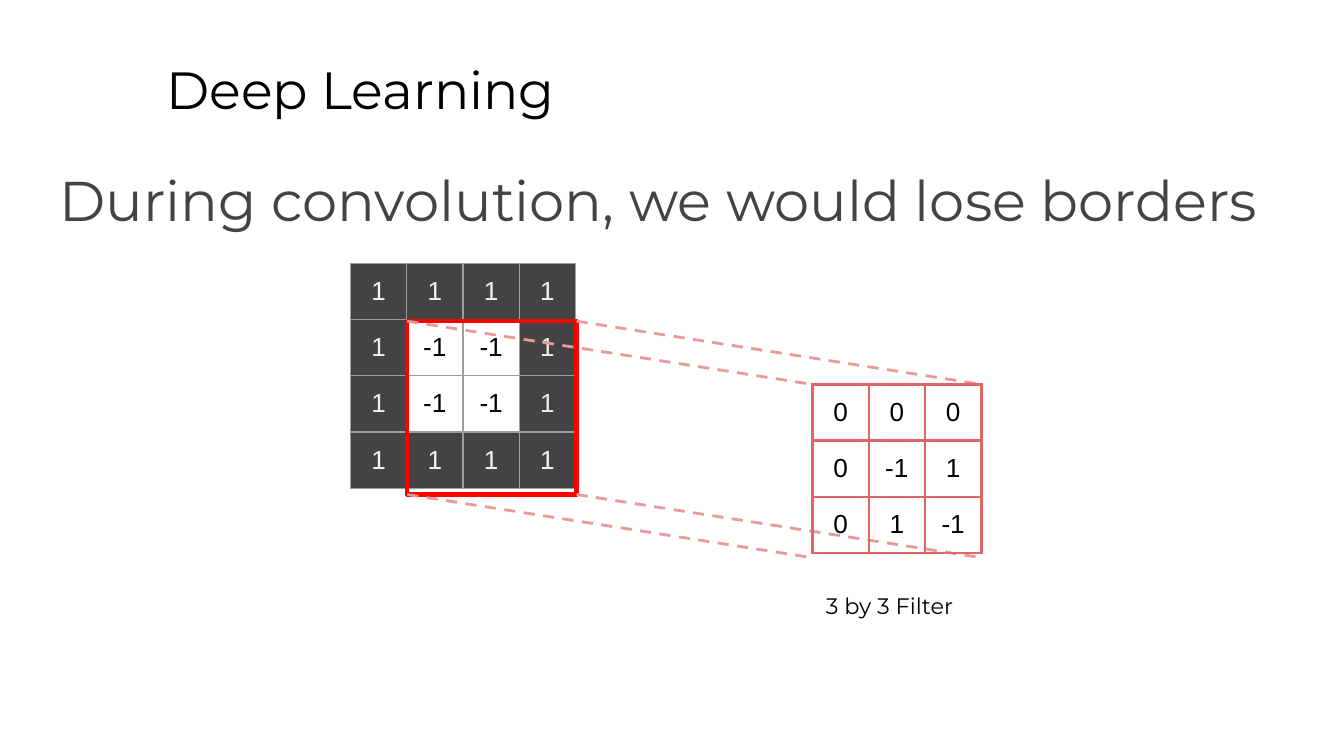
import pptx
import pptx.util
import pptx.dml.color
import pptx.enum.dml
import pptx.enum.shapes
import pptx.enum.text
import pptx.oxml
import pptx.oxml.ns

RGBColor = pptx.dml.color.RGBColor
BLACK = RGBColor(0x00, 0x00, 0x00)
WHITE = RGBColor(0xFF, 0xFF, 0xFF)
DARK = RGBColor(0x43, 0x43, 0x43)
PALE = RGBColor(0xF3, 0xF3, 0xF3)
DIM = RGBColor(0xEF, 0xEF, 0xEF)
GREY = RGBColor(0x9E, 0x9E, 0x9E)
RED = RGBColor(0xFF, 0x00, 0x00)
ROSE = RGBColor(0xE0, 0x66, 0x66)
PINK = RGBColor(0xEA, 0x99, 0x99)

WIDE = 10
HIGH = WIDE * 9 / 16
CELL = (4.19, 7.44)  # one matrix cell, in percent of the slide
CENTER = {"alignment": pptx.enum.text.PP_ALIGN.CENTER}
INSET = pptx.util.Inches(0.1)
PADS = {"margin_left": INSET, "margin_right": INSET,
        "margin_top": INSET, "margin_bottom": INSET}
TIGHT = {**PADS, "margin_bottom": pptx.util.Inches(0.08)}


def scale(box):
    """Turn percent shares (x, y, x, y) into slide lengths."""
    return [pptx.util.Inches(share * (HIGH if i % 2 else WIDE) / 100)
            for i, share in enumerate(box)]


def format(part, values):
    for name, value in values.items():
        setattr(part, name, value)


def write(frame, text, size, font, color, para):
    line = frame.paragraphs[0]
    format(line, para)
    run = line.add_run()
    run.text = text
    format(run.font, {"size": pptx.util.Pt(size), "name": font})
    run.font.color.rgb = color


def label(slide, box, text, size, color, para, pads):
    frame = slide.shapes.add_textbox(*scale(box)).text_frame
    format(frame, {"word_wrap": True, **PADS, **pads})
    write(frame, text, size, "Montserrat", color, para)


def border(cell, color, width):
    props = cell._tc.get_or_add_tcPr()
    for i, side in enumerate(("lnL", "lnR", "lnT", "lnB")):
        edge = pptx.oxml.parse_xml(
            f'<a:{side} {pptx.oxml.ns.nsdecls("a")} w="{pptx.util.Pt(width)}">'
            f'<a:solidFill><a:srgbClr val="{color}"/></a:solidFill></a:{side}>')
        props.insert(i, edge)


def matrix(slide, spot, values, edge, width, look):
    """Draw a number grid; look(row, col) gives a cell's fill and ink."""
    rows, cols = len(values), len(values[0])
    box = (*spot, cols * CELL[0], rows * CELL[1])
    table = slide.shapes.add_table(rows, cols, *scale(box)).table
    format(table, {"first_row": False, "horz_banding": False})
    for r, row in enumerate(values):
        for c, value in enumerate(row):
            cell = table.cell(r, c)
            format(cell, TIGHT)
            fill, ink = look(r, c)
            if fill is None:
                cell.fill.background()
            else:
                cell.fill.solid()
                cell.fill.fore_color.rgb = fill
            write(cell.text_frame, str(value), 14, "Arial", ink, CENTER)
            border(cell, edge, width)


def shade(row, col):
    """Dark border ring around a clear middle."""
    if row in (0, 3):
        return DARK, PALE
    return (DARK, DIM) if col in (0, 3) else (None, BLACK)


def window(slide, box):
    rect = pptx.enum.shapes.MSO_SHAPE.RECTANGLE
    shape = slide.shapes.add_shape(rect, *scale(box))
    shape.shadow.inherit = False
    shape.fill.background()
    shape.line.color.rgb = RED
    shape.line.width = pptx.util.Pt(2.25)


def rays(slide, box, shift):
    """Dashed lines from each corner of the box, all moved by one shift."""
    left, top, width, height = box
    for x in (left, left + width):
        for y in (top, top + height):
            ends = scale((x, y, x + shift[0], y + shift[1]))
            kind = pptx.enum.shapes.MSO_CONNECTOR.STRAIGHT
            ray = slide.shapes.add_connector(kind, *ends)
            ray.line.color.rgb = PINK
            format(ray.line, {"width": pptx.util.Pt(1.5),
                              "dash_style": pptx.enum.dml.MSO_LINE.DASH})
            props = ray._element.spPr
            props.append(pptx.oxml.parse_xml(
                f'<a:effectLst {pptx.oxml.ns.nsdecls("a")}/>'))


def header(slide):
    label(slide, (11.4, 5.78, 85.2, 11.2), "Deep Learning", 28, BLACK, {}, {})
    label(slide, (3.43, 18.84, 93.2, 12.09),
          "During convolution, we would lose borders", 30, DARK,
          {"line_spacing": 1.15, "space_after": pptx.util.Pt(16)}, {})


def diagram(slide):
    # Input matrix and the window on it
    frame = (30.3, 42.49, 12.6, 22.93)
    ring, core = [1, 1, 1, 1], [1, -1, -1, 1]
    matrix(slide, (26.07, 34.84), [ring, core, core, ring], GREY, 0.75, shade)
    window(slide, frame)

    # Projection onto the filter
    rays(slide, frame, (30.15, 8.36))
    matrix(slide, (60.45, 50.84), [[0, 0, 0], [0, -1, 1], [0, 1, -1]],
           ROSE, 1.5, lambda row, col: (None, BLACK))
    label(slide, (59.6, 76.58, 14.4, 7.64), "3 by 3 Filter", 12, BLACK,
          CENTER, {"margin_right": pptx.util.Inches(0.22)})


def main():
    deck = pptx.Presentation()
    format(deck, {"slide_width": pptx.util.Inches(WIDE),
                  "slide_height": pptx.util.Inches(HIGH)})
    slide = deck.slides.add_slide(deck.slide_layouts[6])
    slide.background.fill.solid()
    slide.background.fill.fore_color.rgb = WHITE
    header(slide)
    diagram(slide)
    deck.save("out.pptx")


if __name__ == "__main__":
    main()
